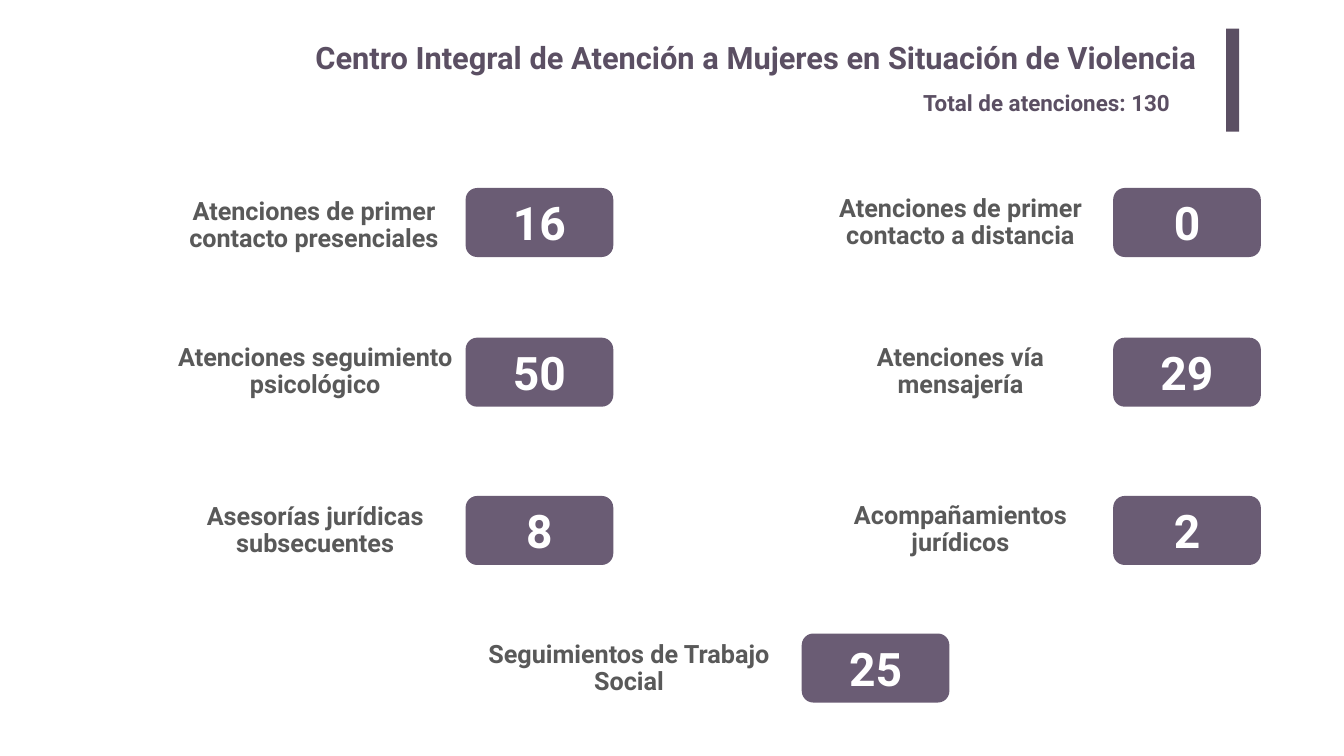
from pptx import Presentation
from pptx.dml.color import RGBColor
from pptx.enum.shapes import MSO_SHAPE as Kind
from pptx.enum.text import MSO_ANCHOR as Anchor, MSO_AUTO_SIZE as Fit, PP_ALIGN as Align
from pptx.util import Inches, Pt

FONT = "Roboto"
DARK, CARD, GRAY, WHITE = "5B4F63", "6A5C74", "595959", "FFFFFF"
WIDE, HIGH = 2.93, 1.37
LEFT, RIGHT, MID = 9.24, 22.09, 15.91
ROWS = (3.73, 6.7, 9.84, 12.57)

ITEMS = [
    ("Atenciones de primer contacto presenciales", (3.49, 3.8, 5.48, 1.37), "16", LEFT, 0),
    ("Atenciones de primer contacto a distancia", (16.48, 3.81, 5.16, 1.21), "0", RIGHT, 0),
    ("Atenciones seguimiento psicológico", (2.35, 7.12, 7.81, 0.53), "50", LEFT, 1),
    ("Atenciones vía\vmensajería", (16.1, 6.86, 5.92, 1.05), "29", RIGHT, 1),
    ("Asesorías jurídicas subsecuentes", (3.23, 10.13, 6.05, 0.8), "8", LEFT, 2),
    ("Acompañamientos jurídicos", (15.83, 10.2, 6.46, 0.64), "2", RIGHT, 2),
    ("Seguimientos de Trabajo Social", (9.24, 12.57, 6.48, 1.41), "25", MID, 3),
]


def color(code):
    return RGBColor.from_string(code)


class Deck:
    def __init__(self, wide, high):
        self.file = Presentation()
        self.file.slide_width = Inches(wide)
        self.file.slide_height = Inches(high)
        self.slide = self.file.slides.add_slide(self.file.slide_layouts[5])

    def style(self, shape, text, size, tone, align, anchor):
        frame = shape.text_frame
        frame.text = text
        frame.word_wrap = True
        frame.auto_size = Fit.NONE
        frame.vertical_anchor = anchor
        line = frame.paragraphs[0]
        line.alignment = align
        for run in line.runs:
            font = run.font
            font.name, font.size, font.bold = FONT, Pt(size), True
            font.color.rgb = color(tone)
        return frame

    def title(self, text, box):
        shape = self.slide.shapes.title
        shape.left, shape.top, shape.width, shape.height = map(Inches, box)
        frame = self.style(shape, text, 44, DARK, Align.RIGHT, Anchor.TOP)
        frame.margin_left = frame.margin_right = Inches(0.2)
        frame.margin_top = frame.margin_bottom = Inches(0.1)

    def text(self, text, box, size, tone, align, anchor):
        shape = self.slide.shapes.add_textbox(*map(Inches, box))
        return self.style(shape, text, size, tone, align, anchor)

    def label(self, text, box):
        frame = self.text(text, box, 36, GRAY, Align.CENTER, Anchor.MIDDLE)
        frame.paragraphs[0].line_spacing = 0.9

    def block(self, kind, box, fill):
        shape = self.slide.shapes.add_shape(kind, *map(Inches, box))
        shape.shadow.inherit = False
        shape.fill.solid()
        shape.fill.fore_color.rgb = color(fill)
        shape.line.fill.background()
        return shape

    def card(self, text, left, top):
        shape = self.block(Kind.ROUNDED_RECTANGLE, (left, top, WIDE, HIGH), CARD)
        self.style(shape, text, 66, WHITE, Align.CENTER, Anchor.MIDDLE)


def main():
    deck = Deck(26.67, 15)
    deck.title("Centro Integral de Atención a Mujeres en Situación de Violencia",
               (3.66, 0.67, 20.3, 1.02))
    deck.block(Kind.RECTANGLE, (24.33, 0.57, 0.26, 2.04), DARK)
    deck.text("Total de atenciones: 130", (18.22, 1.71, 5.92, 0.64),
              32, DARK, Align.LEFT, Anchor.TOP)
    for name, box, count, left, row in ITEMS:
        deck.label(name, box)
        deck.card(count, left, ROWS[row])
    deck.file.save("out.pptx")


if __name__ == "__main__":
    main()
